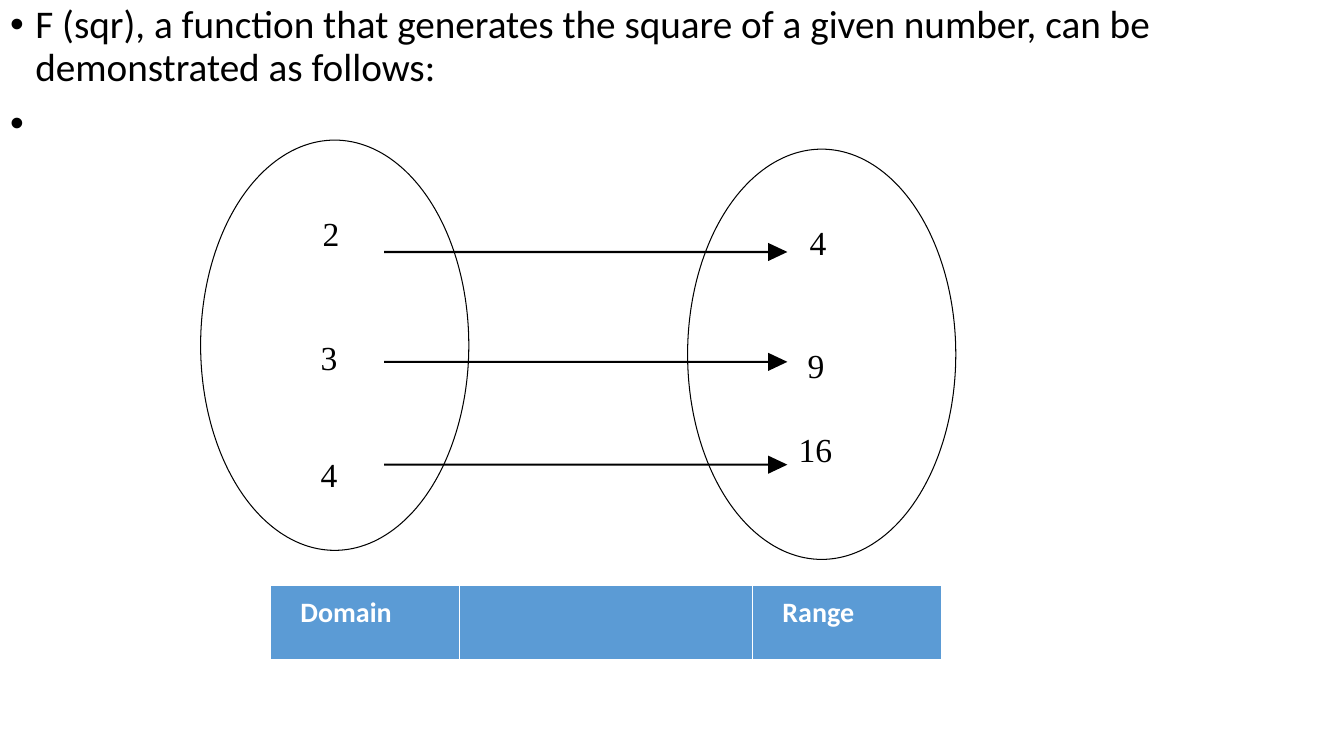
from lxml import etree
from pptx import Presentation
from pptx.dml.color import RGBColor
from pptx.enum.shapes import MSO_SHAPE
from pptx.enum.text import MSO_ANCHOR, MSO_AUTO_SIZE, PP_ALIGN
from pptx.oxml.ns import qn
from pptx.util import Inches, Pt

ARROW, OVAL, RECT = MSO_SHAPE.RIGHT_ARROW, MSO_SHAPE.OVAL, MSO_SHAPE.RECTANGLE
TOP, FIXED = MSO_ANCHOR.TOP, MSO_AUTO_SIZE.NONE
JUSTIFY = PP_ALIGN.JUSTIFY

BLACK = RGBColor(0x00, 0x00, 0x00)
WHITE = RGBColor(0xFF, 0xFF, 0xFF)
BLUE = RGBColor(0x5B, 0x9B, 0xD5)

POINTS = [
    "F (sqr), a function that generates the square of a given number, "
    "can be demonstrated as follows:",
    " ",
]
SMALL, LARGE = (0.25, 0.44), (1.31, 0.77)
SETS = [
    {"at": (1.99, 1.39), "values": [
        ("2", (3.2, 2.08), SMALL, None),
        ("3", (3.18, 3.31), SMALL, (2.86, 3.13)),
        ("4", (3.18, 4.48), SMALL, (2.86, 4.3))]},
    {"at": (6.82, 1.48), "values": [
        ("4", (8.03, 2.17), SMALL, (7.71, 1.99)),
        ("9", (8.01, 3.39), SMALL, (7.69, 3.22)),
        ("16", (7.92, 4.23), LARGE, (7.69, 4.38))]},
]
ARROWS = [2.41, 3.5, 4.52]
HEADS = [("Domain", 1.88), ("", 2.9), ("Range", 1.88)]
EDGES = {"a:lnL": 1, "a:lnR": 1, "a:lnT": 1, "a:lnB": 3}

BODY = {"name": "Calibri", "size": Pt(28), "color": BLACK}
VALUE = {"name": "Times New Roman", "size": Pt(24), "color": BLACK}
HEAD = {"name": "Calibri", "size": Pt(20), "bold": True, "color": WHITE}


def style(font, look):
    for key, value in look.items():
        if key == "color":
            font.color.rgb = value
        else:
            setattr(font, key, value)


def indent(para, left, first):
    props = para._p.get_or_add_pPr()
    props.set("marL", str(Inches(left)))
    props.set("indent", str(Inches(first)))
    return props


def add_form(slide, kind, at, size, fill=None, line=None):
    form = slide.shapes.add_shape(kind, *map(Inches, at + size))
    form.shadow.inherit = False
    if fill is None:
        form.fill.background()
    else:
        form.fill.solid()
        form.fill.fore_color.rgb = fill
    if line is None:
        form.line.fill.background()
    else:
        form.line.color.rgb = line
        form.line.width = Pt(0.75)
    return form


def add_points(slide):
    slide.shapes.title.element.getparent().remove(slide.shapes.title.element)
    body = slide.placeholders[1]
    body.left = body.top = 0
    body.width, body.height = Inches(13.33), Inches(7.5)
    frame = body.text_frame
    frame.auto_size, frame.vertical_anchor = FIXED, TOP
    for i, text in enumerate(POINTS):
        para = frame.add_paragraph() if i else frame.paragraphs[0]
        props = indent(para, 0.25, -0.25)
        etree.SubElement(props, qn("a:buChar"), char="•")
        para.line_spacing = 0.9
        para.space_before = Pt(10 if i else 0)
        run = para.add_run()
        run.text = text
        style(run.font, BODY)


def add_set(slide, at, values):
    add_form(slide, OVAL, at, (2.66, 4.07), line=BLACK)
    for text, place, size, back in values:
        if back:
            add_form(slide, RECT, back, (0.83, 0.76), fill=WHITE)
        box = slide.shapes.add_textbox(*map(Inches, place + size))
        frame = box.text_frame
        frame.word_wrap = True
        for side in ("left", "top", "right", "bottom"):
            setattr(frame, "margin_" + side, 0)
        para = frame.paragraphs[0]
        para.line_spacing = 1.07
        run = para.add_run()
        run.text = text
        style(run.font, VALUE)


def add_arrow(slide, top):
    arrow = add_form(slide, ARROW, (3.81, top), (4.0, 0.18), fill=BLACK)
    arrow.adjustments[0] = 0.12
    arrow.adjustments[1] = 1.06


def add_heads(slide):
    width = sum(size for _, size in HEADS)
    table = slide.shapes.add_table(
        1, len(HEADS), Inches(2.68), Inches(5.81), Inches(width), Inches(0.75)).table
    for i, (text, size) in enumerate(HEADS):
        table.columns[i].width = Inches(size)
        cell = table.cell(0, i)
        cell.margin_left, cell.margin_top = Inches(0.11), Inches(0.05)
        cell.margin_right, cell.margin_bottom = Inches(0.06), 0
        props = cell._tc.get_or_add_tcPr()
        for tag, weight in EDGES.items():
            edge = etree.SubElement(props, qn(tag), w=str(Pt(weight)))
            fill = etree.SubElement(edge, qn("a:solidFill"))
            etree.SubElement(fill, qn("a:srgbClr"), val=str(WHITE))
        cell.fill.solid()
        cell.fill.fore_color.rgb = BLUE
        if text:
            para = cell.text_frame.paragraphs[0]
            indent(para, 0.2, -0.01)
            para.alignment, para.line_spacing = JUSTIFY, 1.15
            run = para.add_run()
            run.text = text
            style(run.font, HEAD)


def main():
    deck = Presentation()
    deck.slide_width, deck.slide_height = Inches(13.33), Inches(7.5)
    slide = deck.slides.add_slide(deck.slide_layouts[1])
    add_points(slide)
    for group in SETS:
        add_set(slide, **group)
    for top in ARROWS:
        add_arrow(slide, top)
    add_heads(slide)
    deck.save("out.pptx")


if __name__ == "__main__":
    main()
